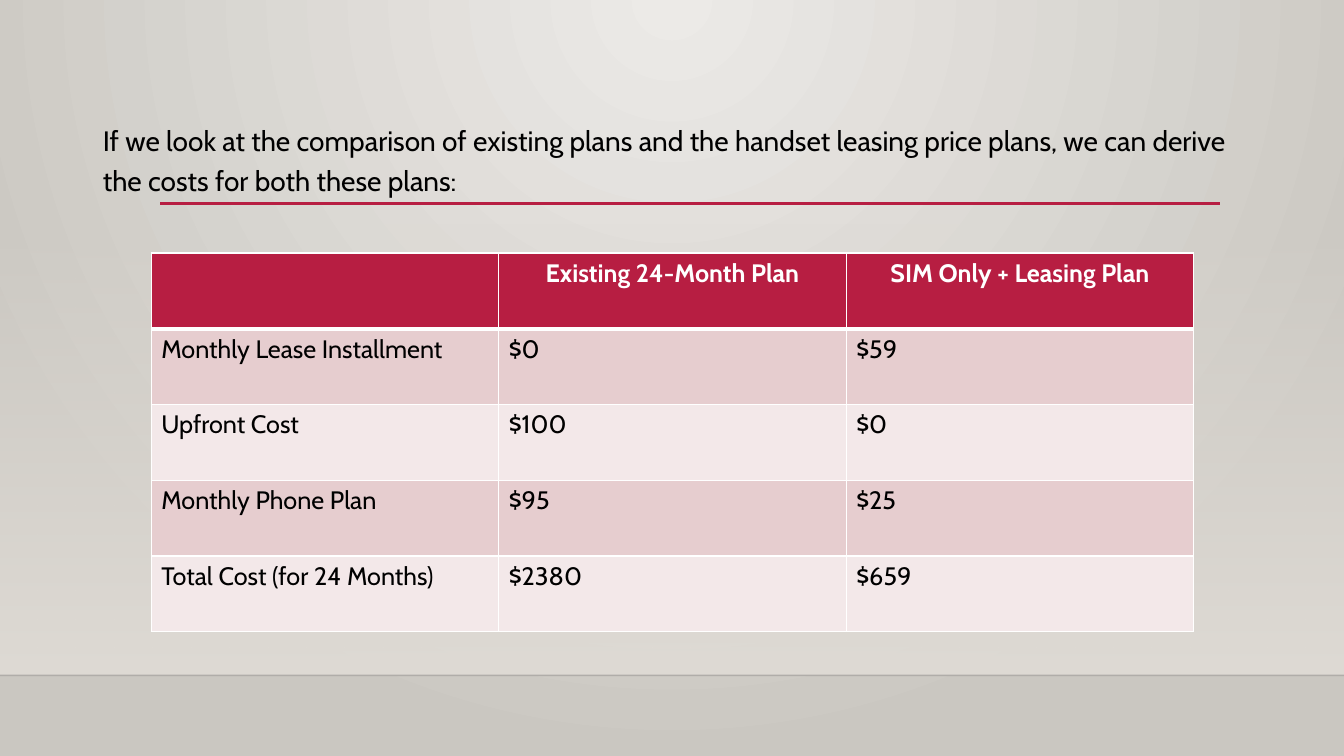
from collections import namedtuple

from lxml.etree import SubElement
from pptx import Presentation
from pptx.dml.color import RGBColor
from pptx.enum.shapes import MSO_CONNECTOR as Connector, MSO_SHAPE as Shape
from pptx.enum.text import MSO_ANCHOR as Anchor, MSO_AUTO_SIZE as AutoSize, PP_ALIGN as Align
from pptx.oxml import parse_xml
from pptx.oxml.ns import nsdecls, qn
from pptx.util import Inches, Pt

WIDTH, HEIGHT = Inches(13.33), Inches(7.5)
FONT = "Cabin"
CRIMSON, WHITE, BLACK = "B71E42", "FFFFFF", "000000"
BANDS = ("E6CDCF", "F3E8E9")
WALL_CENTRE, WALL_EDGE, WASH = "ECEAE7", "CAC7C1", "DFDBD5"

LEAD = ("If we look at the comparison of existing plans and the handset leasing "
        "price plans, we can derive the costs for both these plans:")
COSTS = [
    ("", "Existing 24-Month Plan", "SIM Only + Leasing Plan"),
    ("Monthly Lease Installment", "$0", "$59"),
    ("Upfront Cost", "$100", "$0"),
    ("Monthly Phone Plan", "$95", "$25"),
    ("Total Cost (for 24 Months)", "$2380", "$659"),
]

Box = namedtuple("Box", "left top width height")


def percent_box(left, top, width, height):
    """Turn percentages of the slide into a box of lengths."""
    return Box(int(WIDTH * left / 100), int(HEIGHT * top / 100),
               int(WIDTH * width / 100), int(HEIGHT * height / 100))


def colour(hex_string):
    """Return the colour for a hex string."""
    return RGBColor.from_string(hex_string)


def set_alpha(element, percent):
    """Give the first plain colour inside an element an opacity."""
    SubElement(element.find(".//" + qn("a:srgbClr")), qn("a:alpha"), val=str(percent * 1000))


def set_gradient(fill, start, end):
    """Fill with a gradient of two colours."""
    fill.gradient()
    for stop, position, shade in zip(fill.gradient_stops, (0, 1), (start, end)):
        stop.position = position
        stop.color.rgb = colour(shade)


def add_rule(slide, box, shade, points):
    """Draw a horizontal line along the top of the box."""
    rule = slide.shapes.add_connector(Connector.STRAIGHT, box.left, box.top,
                                      box.left + box.width, box.top)
    rule.line.color.rgb = colour(shade)
    rule.line.width = Pt(points)
    SubElement(rule._element.spPr, qn("a:effectLst"))
    return rule


def paint_backdrop(slide, box):
    """Paint the radial wall, the wash that fades in over the box, and the floor line."""
    set_gradient(slide.background.fill, WALL_CENTRE, WALL_EDGE)
    linear = slide._element.find(".//" + qn("a:lin"))
    linear.getparent().replace(linear, parse_xml(
        f'<a:path {nsdecls("a")} path="circle">'
        '<a:fillToRect l="43000" t="0" r="43000" b="100000"/></a:path>'))

    wash = slide.shapes.add_shape(Shape.RECTANGLE, *box)
    wash.shadow.inherit = False
    wash.line.fill.background()
    set_gradient(wash.fill, WASH, WASH)
    wash.fill.gradient_angle = 270
    set_alpha(wash._element.spPr, 0)

    floor = add_rule(slide, box._replace(top=box.top + box.height), "000001", 1)
    set_alpha(floor._element.spPr, 20)


def place_lead(slide, box):
    """Set the lead sentence in the title placeholder."""
    lead = slide.shapes.title
    lead.left, lead.top, lead.width, lead.height = box
    frame = lead.text_frame
    frame.text = LEAD
    frame.word_wrap = True
    frame.auto_size = AutoSize.NONE
    frame.vertical_anchor = Anchor.TOP
    sentence = frame.paragraphs[0]
    sentence.alignment = Align.LEFT
    sentence.line_spacing = 1.2
    style_font(sentence.font, 20, BLACK)


def style_font(font, size, shade, bold=False):
    """Set face, size, colour and weight."""
    font.name, font.size, font.bold = FONT, Pt(size), bold
    font.color.rgb = colour(shade)


def set_borders(cell, **points):
    """Draw white cell borders, with widths by side: L, R, T, B."""
    properties = cell._tc.get_or_add_tcPr()
    for index, side in enumerate("LRTB"):
        properties.insert(index, parse_xml(
            f'<a:ln{side} {nsdecls("a")} w="{Pt(points.get(side, 1))}">'
            f'<a:solidFill><a:srgbClr val="{WHITE}"/></a:solidFill></a:ln{side}>'))


def add_cost_table(slide, box):
    """Build the cost comparison with equal columns and rows."""
    table = slide.shapes.add_table(len(COSTS), len(COSTS[0]), *box).table
    for column in table.columns:
        column.width = box.width // len(COSTS[0])
    for row_index, costs in enumerate(COSTS):
        table.rows[row_index].height = box.height // len(COSTS)
        header = row_index == 0
        for column_index, cost in enumerate(costs):
            cell = table.cell(row_index, column_index)
            cell.text = cost
            cell.fill.solid()
            cell.fill.fore_color.rgb = colour(CRIMSON if header else BANDS[(row_index - 1) % 2])
            set_borders(cell, B=3 if header else 1, T=3 if row_index == 1 else 1)
            entry = cell.text_frame.paragraphs[0]
            entry.alignment = Align.CENTER if header else Align.LEFT
            style_font(entry.font, 18, WHITE if header else BLACK, header)


def build_comparison_slide(deck):
    """Add the slide that compares the costs of both plans."""
    slide = deck.slides.add_slide(deck.slide_layouts[5])
    paint_backdrop(slide, percent_box(0, 29.47, 100, 59.87))
    add_rule(slide, percent_box(11.93, 26.93, 78.84, 0), CRIMSON, 2.5)
    place_lead(slide, percent_box(6.9, 14.8, 86.27, 11))
    add_cost_table(slide, percent_box(11.25, 33.47, 77.57, 50.13))


deck = Presentation()
deck.slide_width, deck.slide_height = WIDTH, HEIGHT
build_comparison_slide(deck)
deck.save("out.pptx")
